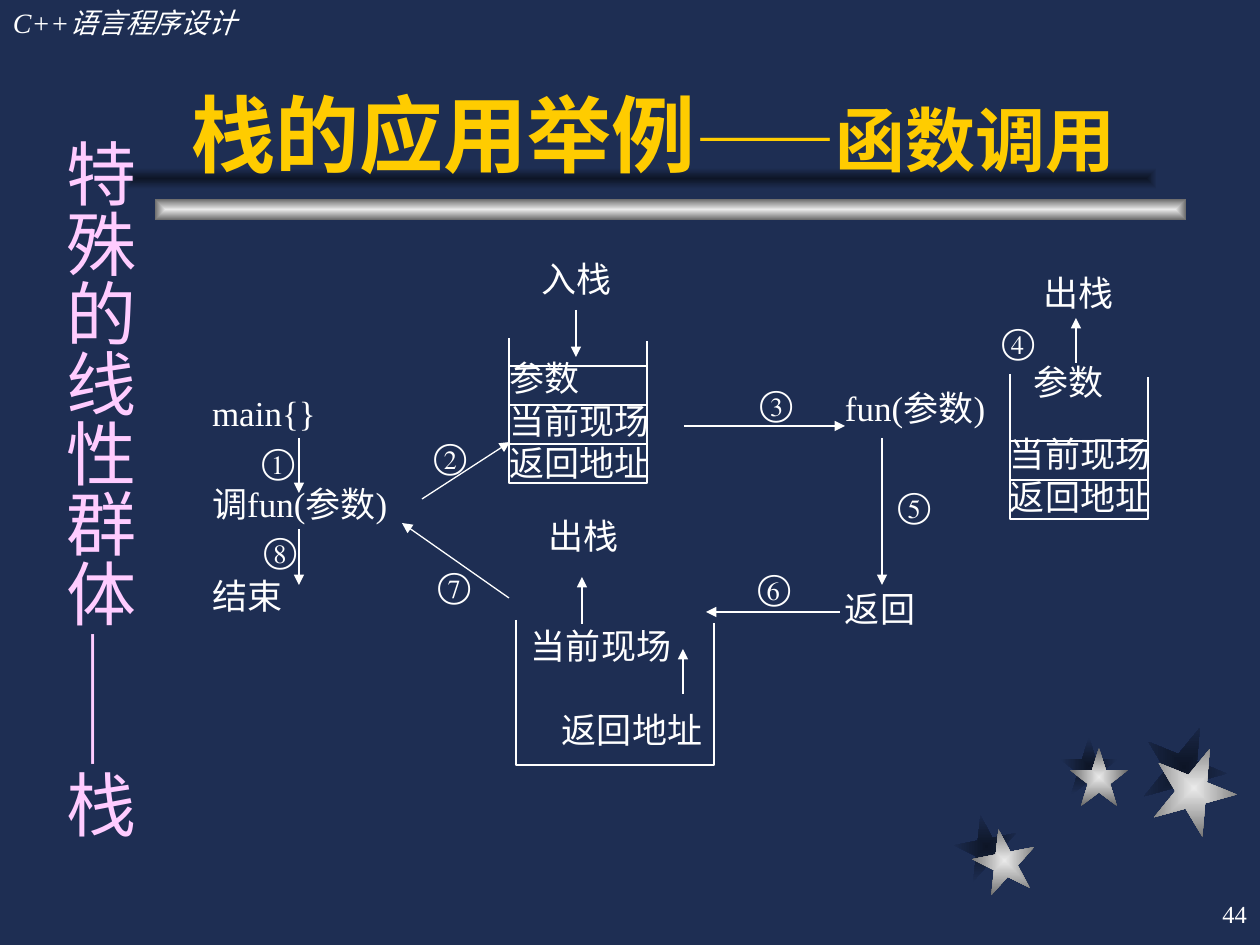
from dataclasses import dataclass

from pptx import Presentation
from pptx.dml.color import RGBColor
from pptx.enum.lang import MSO_LANGUAGE_ID
from pptx.enum.shapes import MSO_CONNECTOR, MSO_SHAPE
from pptx.enum.text import MSO_ANCHOR, PP_ALIGN
from pptx.oxml import parse_xml
from pptx.oxml.ns import nsdecls, qn
from pptx.util import Pt

PX = 914400 / 126


def px(n):
    return round(n * PX)


@dataclass(frozen=True)
class Theme:
    background: str = "1E2E53"
    text: str = "FFFFFF"
    title: str = "FFCC00"
    side: str = "FFCCFF"
    metal: tuple = ("EAEAEA", "6B6B6B")
    shade: tuple = ("0D1526", "1E2E53")
    font: str = "Times New Roman"
    title_font: str = "Arial"
    side_font: str = "Noto Sans CJK SC"
    title_size: int = 48
    large_size: int = 40
    body_size: int = 20
    header_size: int = 16
    number_size: int = 14
    line_width: float = 0.75


class Board:
    """Draws in px on the current slide with one theme."""

    def __init__(self, s, theme):
        self.s, self.t = s, theme
        s.background.fill.solid()
        s.background.fill.fore_color.rgb = RGBColor.from_string(theme.background)

    def box(self, x, y, w, h, inset=(0, 0), anchor=MSO_ANCHOR.TOP):
        tf = self.s.shapes.add_textbox(px(x), px(y), px(w), px(h)).text_frame
        tf.word_wrap = True
        tf.vertical_anchor = anchor
        tf.margin_left = tf.margin_right = px(inset[0])
        tf.margin_top = tf.margin_bottom = px(inset[1])
        return tf

    def run(self, p, text, size=None, font=None, color=None, bold=None, italic=None):
        r = p.add_run()
        r.text = text
        f = r.font
        f.name = font or self.t.font
        f.size = Pt(size or self.t.body_size)
        f.color.rgb = RGBColor.from_string(color or self.t.text)
        f.bold, f.italic = bold, italic
        f.language_id = MSO_LANGUAGE_ID.SIMPLIFIED_CHINESE

    def lines(self, x, y, w, h, texts, align=PP_ALIGN.JUSTIFY, inset=(0, 0),
              gap=0, spacing=None):
        """One paragraph per text, with gap points between them."""
        tf = self.box(x, y, w, h, inset)
        for i, text in enumerate(texts):
            p = tf.add_paragraph() if i else tf.paragraphs[0]
            p.alignment = align
            if i and gap:
                p.space_before = Pt(gap)
            if spacing:
                p.line_spacing = spacing
            self.run(p, text)
        return tf

    def line(self, x1, y1, x2, y2, arrow=False):
        c = self.s.shapes.add_connector(
            MSO_CONNECTOR.STRAIGHT, px(x1), px(y1), px(x2), px(y2))
        self.outline(c)
        if arrow:
            c.line._get_or_add_ln().append(
                parse_xml(f'<a:tailEnd {nsdecls("a")} type="triangle"/>'))
        c._element.spPr.append(parse_xml(f'<a:effectLst {nsdecls("a")}/>'))

    def outline(self, shape):
        shape.line.color.rgb = RGBColor.from_string(self.t.text)
        shape.line.width = Pt(self.t.line_width)

    def stack(self, x, y, w, shelves=0):
        """Open-topped container with shelves counted from its floor."""
        floor = y + 145
        fb = self.s.shapes.build_freeform(x, y, scale=PX)
        fb.add_line_segments([(x, floor), (x + w, floor), (x + w, y + 3)], close=False)
        sp = fb.convert_to_shape()
        sp.shadow.inherit = False
        sp.fill.background()
        self.outline(sp)
        for i in range(1, shelves + 1):
            self.line(x, floor - 39 * i, x + w, floor - 39 * i)

    def ornament(self, kind, x, y, w, h, colors, rotation=0):
        """Shape with a gradient that runs from its centre outwards."""
        sp = self.s.shapes.add_shape(kind, px(x), px(y), px(w), px(h))
        sp.rotation = rotation
        sp.shadow.inherit = False
        sp.line.fill.background()
        sp.fill.gradient()
        for stop, color in zip(sp.fill.gradient_stops, colors):
            stop.color.rgb = RGBColor.from_string(color)
        grad = sp._element.spPr.find(qn("a:gradFill"))
        grad.replace(grad.find(qn("a:lin")), parse_xml(
            f'<a:path {nsdecls("a")} path="rect">'
            '<a:fillToRect l="50000" t="50000" r="50000" b="50000"/></a:path>'))


def draw_frame(b):
    t = b.t
    stars = [
        (t.shade, [(955, 815, 63, 349), (1060, 737, 58, 0), (1142, 725, 84, 22)]),
        (t.metal, [(973, 829, 63, 349), (1070, 748, 58, 0), (1152, 746, 84, 22)]),
    ]
    for colors, group in stars:
        for x, y, size, rotation in group:
            b.ornament(MSO_SHAPE.STAR_5_POINT, x, y, size, size, colors, rotation)
    for x, y, colors in [(155, 199, t.metal), (126, 168, t.shade)]:
        b.ornament(MSO_SHAPE.RECTANGLE, x, y, 1031, 21, colors)

    header = b.box(0, 0, 388, 47, (13, 6))
    b.run(header.paragraphs[0], "C++语言程序设计", t.header_size, italic=True)

    title = b.box(179, 32, 987, 157, (13, 6), MSO_ANCHOR.BOTTOM)
    for text, size in [("栈的应用举例", t.title_size), ("——函数调用", t.large_size)]:
        b.run(title.paragraphs[0], text, size, t.title_font, t.title, bold=True)

    side = b.box(39, 126, 108, 740, (6, 13))
    side._txBody.bodyPr.set("vert", "eaVert")
    b.run(side.paragraphs[0], "特殊的线性群体——栈", t.large_size, t.side_font, t.side)

    number = b.box(998, 882, 262, 63, (13, 6), MSO_ANCHOR.MIDDLE)
    number.paragraphs[0].alignment = PP_ALIGN.RIGHT
    b.run(number.paragraphs[0], "44", t.number_size)


def draw_call_flow(b):
    b.lines(199, 381, 232, 260, ["main{}", "调fun(参数)", "结束"],
            inset=(13, 6), gap=26, spacing=1.1)
    fun = b.lines(832, 380, 195, 260, ["fun(参数)", "返回"], inset=(13, 6), gap=72)
    fun.paragraphs[1].line_spacing = 1.8

    b.stack(509, 338, 138, shelves=3)
    b.lines(509, 357, 145, 125, ["参数", "当前现场", "返回地址"])
    b.stack(1010, 374, 138, shelves=2)
    b.lines(1010, 433, 145, 89, ["当前现场", "返回地址"])
    b.lines(1033, 360, 95, 44, ["参数"])
    b.stack(516, 620, 198)
    frame = b.lines(531, 625, 177, 151, ["当前现场", "返回地址"], gap=24)
    frame.paragraphs[1]._p.get_or_add_pPr().set("marL", str(px(31)))

    for x, y, text in [(525, 257, "入栈"), (1027, 271, "出栈"), (532, 514, "出栈")]:
        b.lines(x, y, 103, 44, [text], PP_ALIGN.CENTER)

    steps = [("①", 262, 440), ("②", 434, 435), ("③", 760, 382), ("④", 1002, 320),
             ("⑤", 898, 484), ("⑥", 758, 566), ("⑦", 438, 564), ("⑧", 264, 529)]
    for mark, x, y in steps:
        b.lines(x, y, 35, 37, [mark])

    arrows = [
        (299, 438, 299, 493), (422, 499, 510, 442), (684, 426, 845, 426),
        (882, 438, 882, 585), (840, 612, 706, 612), (509, 598, 402, 523),
        (299, 529, 299, 585),
        (576, 310, 576, 357), (1076, 363, 1076, 318),
        (582, 624, 582, 577), (683, 694, 683, 649),
    ]
    for ends in arrows:
        b.line(*ends, arrow=True)


def main():
    prs = Presentation()
    prs.slide_width, prs.slide_height = px(1260), px(945)
    b = Board(prs.slides.add_slide(prs.slide_layouts[6]), Theme())
    draw_frame(b)
    draw_call_flow(b)
    prs.save("out.pptx")


if __name__ == "__main__":
    main()
